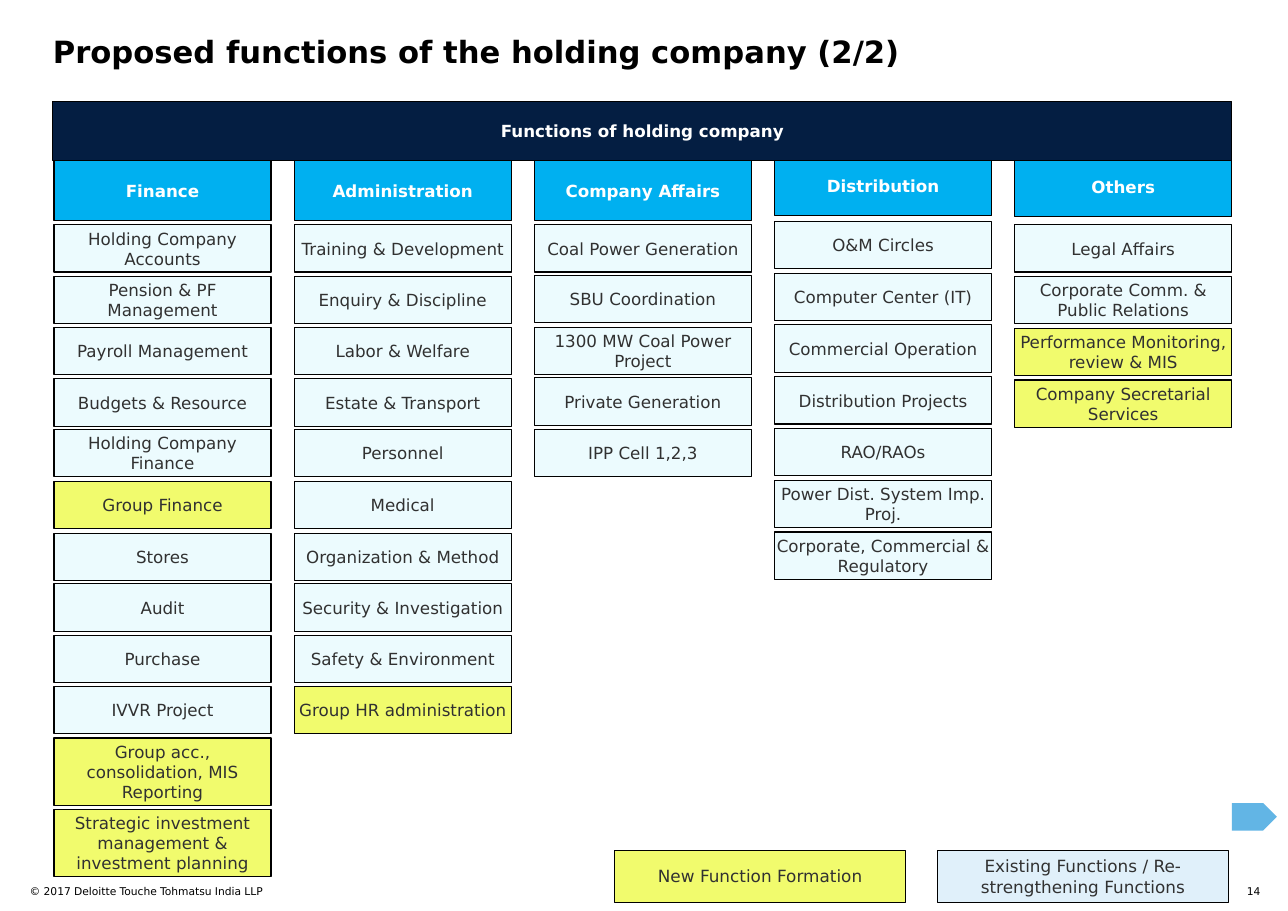
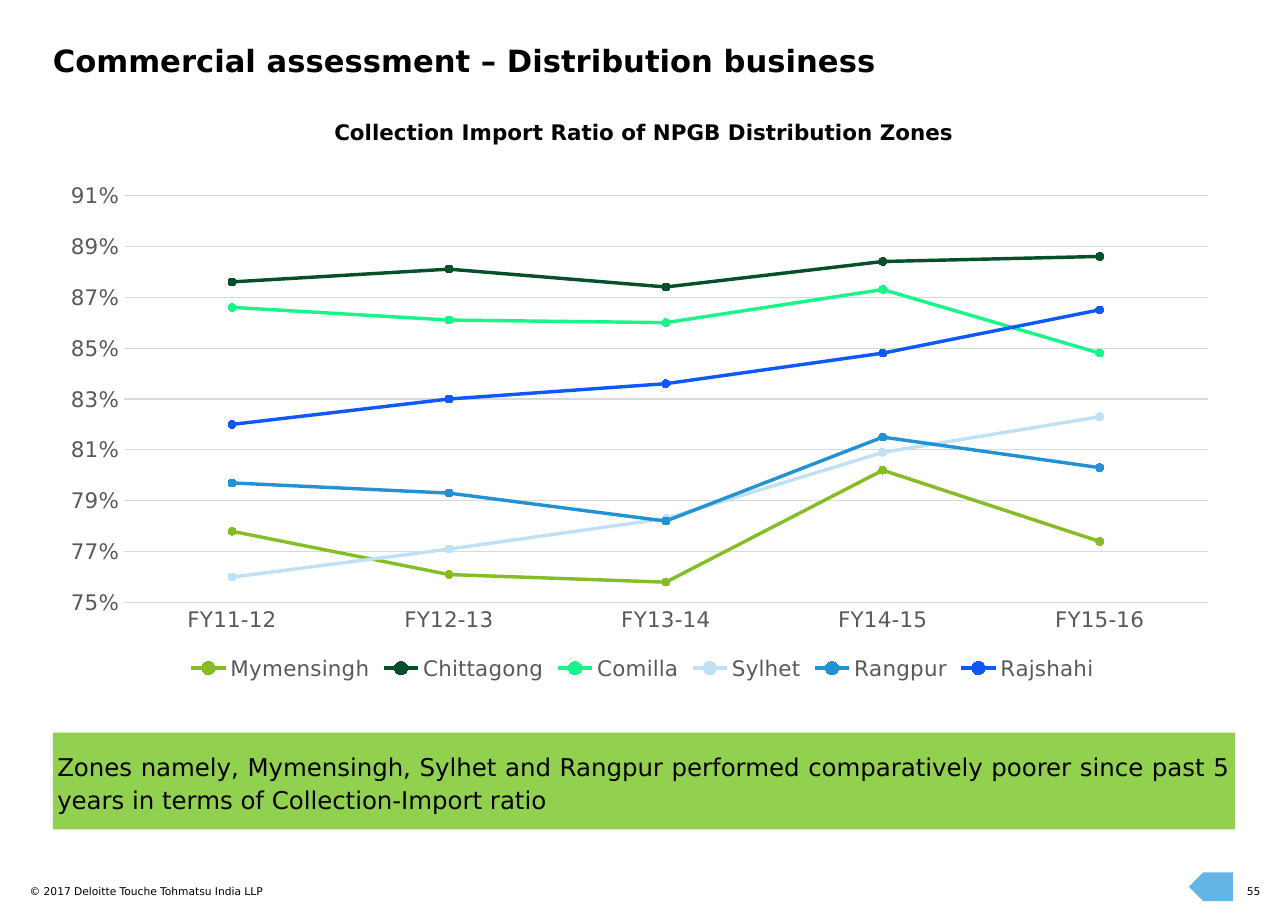
from dataclasses import dataclass
from typing import Optional

from lxml.etree import SubElement
from pptx import Presentation
from pptx.chart.data import CategoryChartData
from pptx.dml.color import RGBColor
from pptx.enum.chart import XL_CHART_TYPE as ChartType
from pptx.enum.chart import XL_LEGEND_POSITION as LegendPosition
from pptx.enum.chart import XL_MARKER_STYLE as MarkerStyle
from pptx.enum.chart import XL_TICK_MARK as TickMark
from pptx.enum.shapes import MSO_SHAPE as Preset
from pptx.enum.text import MSO_ANCHOR as Anchor
from pptx.enum.text import PP_ALIGN as Align
from pptx.oxml.ns import qn
from pptx.util import Pt

EMU_PER_PX = 9144
PAGE_WIDTH, PAGE_HEIGHT = 1169, 827
LEFT_MARGIN, CONTENT_WIDTH = 48, 1070
FONT = "DejaVu Sans"
COPYRIGHT = "© 2017 Deloitte Touche Tohmatsu India LLP"
COLORS = {
    "black": "000000",
    "white": "FFFFFF",
    "ink": "313131",
    "navy": "041E42",
    "header": "00B0F0",
    "existing": "ECFBFE",
    "legend": "E0F0FA",
    "new": "F1FB6D",
    "arrow": "62B5E5",
    "callout": "92D050",
    "axis": "595959",
    "grid": "D9D9D9",
}

COLUMN_LEFT, COLUMN_PITCH, COLUMN_WIDTH = 49, 218, 197
HEADER_HEIGHT, CARD_HEIGHT, TALL_CARD_HEIGHT = 54, 43, 61


@dataclass(frozen=True)
class Area:
    left: int
    top: int
    width: int
    height: int

    def emu(self) -> tuple[int, ...]:
        return tuple(side * EMU_PER_PX for side in (self.left, self.top, self.width, self.height))


@dataclass(frozen=True)
class Card:
    text: str
    new: bool = False
    height: int = CARD_HEIGHT


@dataclass(frozen=True)
class Column:
    title: str
    cards: tuple[Card, ...]
    header_top: int = 146
    cards_top: int = 204
    gap: float = 3.6


@dataclass(frozen=True)
class Zone:
    name: str
    color: str
    ratios: tuple[float, ...]


COLUMNS = (
    Column("Finance", (
        Card("Holding Company Accounts"),
        Card("Pension & PF Management"),
        Card("Payroll Management"),
        Card("Budgets & Resource"),
        Card("Holding Company Finance"),
        Card("Group Finance", new=True),
        Card("Stores"),
        Card("Audit"),
        Card("Purchase"),
        Card("IVVR Project"),
        Card("Group acc., consolidation, MIS Reporting", True, TALL_CARD_HEIGHT),
        Card("Strategic investment management & investment planning", True, TALL_CARD_HEIGHT),
    )),
    Column("Administration", (
        Card("Training & Development"),
        Card("Enquiry & Discipline"),
        Card("Labor & Welfare"),
        Card("Estate & Transport"),
        Card("Personnel"),
        Card("Medical"),
        Card("Organization & Method"),
        Card("Security & Investigation"),
        Card("Safety & Environment"),
        Card("Group HR administration", new=True),
    )),
    Column("Company Affairs", (
        Card("Coal Power Generation"),
        Card("SBU Coordination"),
        Card("1300 MW Coal Power Project"),
        Card("Private Generation"),
        Card("IPP Cell 1,2,3"),
    ), gap=3.4),
    Column("Distribution", (
        Card("O&M Circles"),
        Card("Computer Center (IT)"),
        Card("Commercial Operation"),
        Card("Distribution Projects"),
        Card("RAO/RAOs"),
        Card("Power Dist. System Imp. Proj."),
        Card("Corporate, Commercial & Regulatory"),
    ), header_top=142, cards_top=201, gap=4),
    Column("Others", (
        Card("Legal Affairs"),
        Card("Corporate Comm. & Public Relations"),
        Card("Performance Monitoring, review & MIS", new=True),
        Card("Company Secretarial Services", new=True),
    ), header_top=143, gap=4),
)

YEARS = ("FY11-12", "FY12-13", "FY13-14", "FY14-15", "FY15-16")
ZONES = (
    Zone("Mymensingh", "86BC25", (0.778, 0.761, 0.758, 0.802, 0.774)),
    Zone("Chittagong", "03502A", (0.876, 0.881, 0.874, 0.884, 0.886)),
    Zone("Comilla", "18F689", (0.866, 0.861, 0.86, 0.873, 0.848)),
    Zone("Sylhet", "C0E1F5", (0.76, 0.771, 0.783, 0.809, 0.823)),
    Zone("Rangpur", "2392D2", (0.797, 0.793, 0.782, 0.815, 0.803)),
    Zone("Rajshahi", "0F58FD", (0.82, 0.83, 0.836, 0.848, 0.865)),
)


def rgb(name: str) -> RGBColor:
    return RGBColor.from_string(COLORS[name])


def style_font(font, size: float, color: str, bold: bool = False) -> None:
    font.name = FONT
    font.size = Pt(size)
    font.bold = bold
    font.color.rgb = rgb(color)


def write_text(box, text: str, *, size: float = 10.9, color: str = "ink", bold: bool = False,
               align=Align.LEFT, anchor=Anchor.TOP, inset: int = 0,
               line_spacing: Optional[float] = None, space_after: float = 0) -> None:
    frame = box.text_frame
    frame.word_wrap = True
    frame.vertical_anchor = anchor
    frame.margin_left = frame.margin_right = inset * EMU_PER_PX
    frame.margin_top = frame.margin_bottom = 0
    para = frame.paragraphs[0]
    para.alignment = align
    para.line_spacing = line_spacing
    para.space_after = Pt(space_after)
    span = para.add_run()
    span.text = text
    style_font(span.font, size, color, bold)


def add_text(page, area: Area, text: str, **text_format) -> None:
    write_text(page.shapes.add_textbox(*area.emu()), text, **text_format)


def add_box(page, area: Area, fill: str, preset=Preset.RECTANGLE, outlined: bool = False):
    box = page.shapes.add_shape(preset, *area.emu())
    box.shadow.inherit = False
    box.fill.solid()
    box.fill.fore_color.rgb = rgb(fill)
    if outlined:
        box.line.color.rgb = rgb("black")
        box.line.width = Pt(0.75)
    else:
        box.line.fill.background()
    return box


def add_label(page, area: Area, text: str, fill: str, **text_format) -> None:
    box = add_box(page, area, fill, outlined=True)
    write_text(box, text, align=Align.CENTER, anchor=Anchor.MIDDLE, **text_format)


def add_arrow(page, area: Area, rotation: int = 0) -> None:
    add_box(page, area, "arrow", Preset.PENTAGON).rotation = rotation


def add_page(deck, title: str, title_top: int, number: int):
    page = deck.slides.add_slide(deck.slide_layouts[6])
    add_text(page, Area(27, 803, 513, 24), COPYRIGHT, size=7, color="black")
    add_text(page, Area(1114, 803, 30, 12), str(number), size=7, color="black", align=Align.RIGHT)
    add_text(page, Area(LEFT_MARGIN, title_top, CONTENT_WIDTH, 40), title,
             size=20, color="black", bold=True)
    return page


def add_column(page, column: Column, left: int) -> None:
    add_label(page, Area(left, column.header_top, COLUMN_WIDTH, HEADER_HEIGHT), column.title,
              "header", color="white", bold=True)
    top = column.cards_top
    for card in column.cards:
        add_label(page, Area(left, round(top), COLUMN_WIDTH, card.height), card.text,
                  "new" if card.new else "existing")
        top += card.height + column.gap


def build_functions_page(deck) -> None:
    page = add_page(deck, "Proposed functions of the holding company (2/2)", 30, 14)
    for index, column in enumerate(COLUMNS):
        add_column(page, column, COLUMN_LEFT + index * COLUMN_PITCH)
    add_label(page, Area(LEFT_MARGIN, 92, CONTENT_WIDTH, 54), "Functions of holding company",
              "navy", color="white", bold=True)
    add_label(page, Area(558, 772, 264, 47), "New Function Formation", "new", size=11)
    add_label(page, Area(851, 772, 264, 47), "Existing Functions / Re-strengthening Functions",
              "legend", size=11)
    add_arrow(page, Area(1118, 729, 41, 25))


def place_plot(chart, **fractions: float) -> None:
    plot_area = chart.plots[0]._element.getparent()
    layout = plot_area.find(qn("c:layout"))
    if layout is None:
        layout = SubElement(plot_area, qn("c:layout"))
        plot_area.insert(0, layout)
    manual = SubElement(layout, qn("c:manualLayout"))
    settings = {"layoutTarget": "inner", "xMode": "edge", "yMode": "edge", **fractions}
    for tag, value in settings.items():
        SubElement(manual, qn(f"c:{tag}")).set("val", str(value))


def add_ratio_chart(page, area: Area) -> None:
    data = CategoryChartData(number_format="0.0%")
    data.categories = YEARS
    for zone in ZONES:
        data.add_series(zone.name, zone.ratios)
    chart = page.shapes.add_chart(ChartType.LINE_MARKERS, *area.emu(), data).chart
    chart.has_title = False
    style_font(chart.font, 14, "black")
    chart.has_legend = True
    chart.legend.position = LegendPosition.BOTTOM
    chart.legend.include_in_layout = False
    style_font(chart.legend.font, 14, "axis")

    years, ratios = chart.category_axis, chart.value_axis
    for axis in (years, ratios):
        axis.major_tick_mark = axis.minor_tick_mark = TickMark.NONE
        style_font(axis.tick_labels.font, 14, "axis")
    ratios.minimum_scale, ratios.maximum_scale, ratios.major_unit = 0.75, 0.91, 0.02
    ratios.tick_labels.number_format = "0%"
    ratios.tick_labels.number_format_is_linked = False
    ratios.format.line.fill.background()
    for line in (years.format.line, ratios.major_gridlines.format.line):
        line.color.rgb = rgb("grid")
        line.width = Pt(0.75)

    plot = chart.plots[0]
    plot.vary_by_categories = False
    for zone, series in zip(ZONES, plot.series):
        color = RGBColor.from_string(zone.color)
        series.smooth = False
        series.format.line.color.rgb = color
        series.format.line.width = Pt(2.25)
        series.marker.style = MarkerStyle.CIRCLE
        series.marker.size = 5
        series.marker.format.fill.solid()
        series.marker.format.fill.fore_color.rgb = color
        series.marker.format.line.color.rgb = color
    place_plot(chart, x=0.06, y=0.05, w=0.92, h=0.79)


def build_ratio_page(deck) -> None:
    page = add_page(deck, "Commercial assessment – Distribution business", 38, 55)
    write_text(add_box(page, Area(196, 108, 777, 33), "white"),
               "Collection Import Ratio of NPGB Distribution Zones",
               size=14, color="black", bold=True, align=Align.CENTER, space_after=10)
    add_ratio_chart(page, Area(LEFT_MARGIN, 154, CONTENT_WIDTH, 468))
    write_text(add_box(page, Area(LEFT_MARGIN, 665, 1073, 88), "callout"),
               "Zones namely, Mymensingh, Sylhet and Rangpur performed comparatively poorer "
               "since past 5 years in terms of Collection-Import ratio",
               size=16, color="black", align=Align.JUSTIFY, anchor=Anchor.MIDDLE, inset=4,
               line_spacing=1.14, space_after=6)
    add_arrow(page, Area(1079, 792, 40, 26), rotation=180)


def main() -> None:
    deck = Presentation()
    deck.slide_width = PAGE_WIDTH * EMU_PER_PX
    deck.slide_height = PAGE_HEIGHT * EMU_PER_PX
    build_functions_page(deck)
    build_ratio_page(deck)
    deck.save("out.pptx")


if __name__ == "__main__":
    main()
